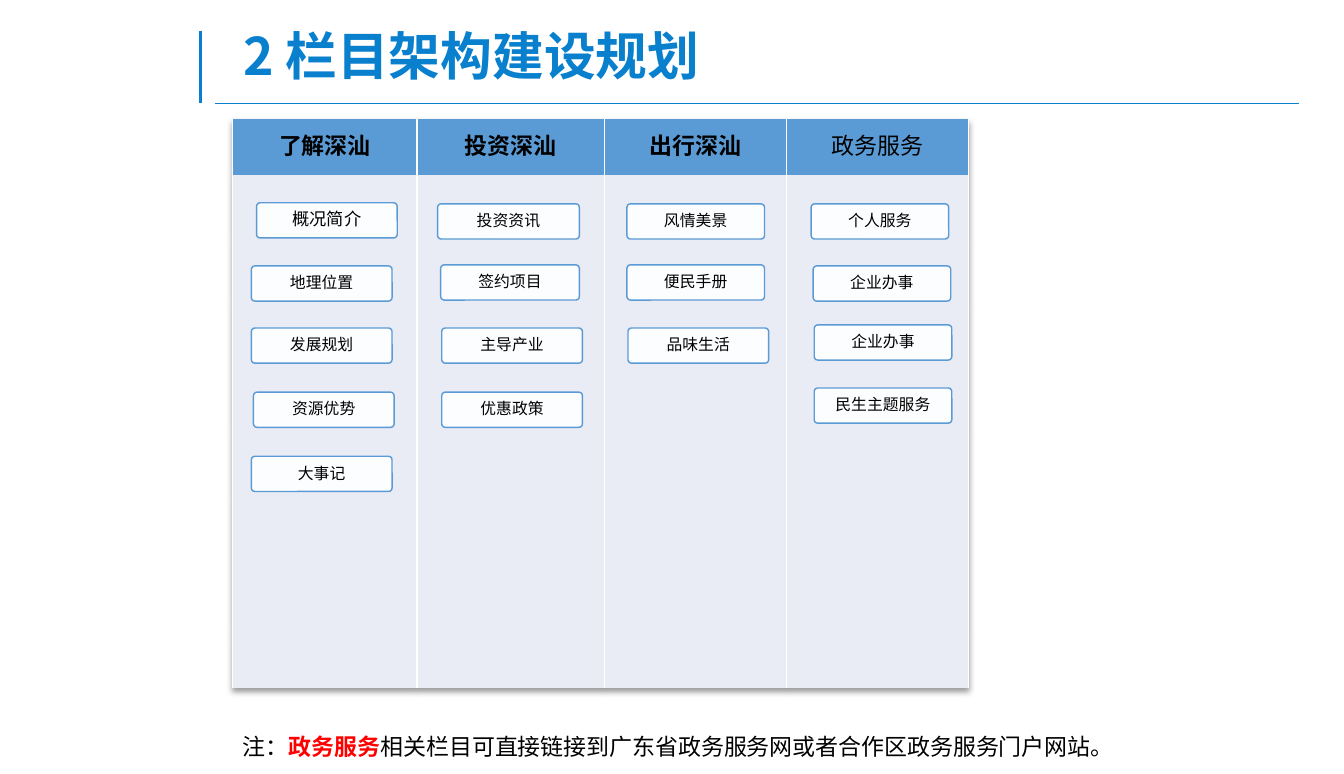
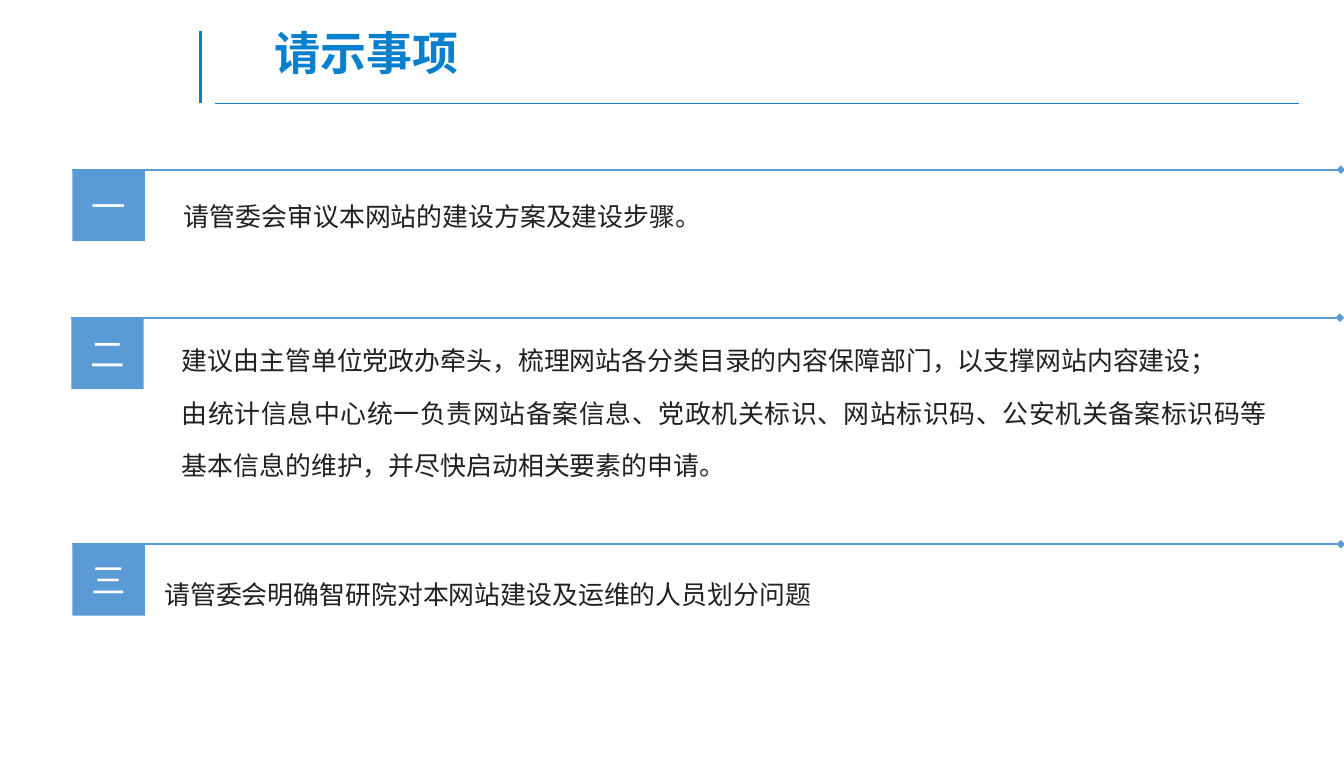
from dataclasses import dataclass

from lxml.etree import SubElement
from pptx import Presentation
from pptx.dml.color import RGBColor
from pptx.enum.shapes import MSO_CONNECTOR, MSO_SHAPE
from pptx.enum.text import MSO_ANCHOR, MSO_AUTO_SIZE, PP_ALIGN
from pptx.oxml import parse_xml
from pptx.oxml.ns import nsdecls, qn
from pptx.util import Inches, Pt

COLORS = {
    "brand": "0980CD",
    "accent": "5B9BD5",
    "panel": "E9EBF5",
    "white": "FFFFFF",
    "black": "000000",
    "ink": "202020",
    "alert": "FF0000",
}
NOTO = "Noto Sans CJK SC"
CALIBRI = "Calibri"


@dataclass(frozen=True)
class Style:
    size: float
    color: str
    font: str = NOTO
    east_asian: str = NOTO
    bold: bool = False


@dataclass(frozen=True)
class Entry:
    label: str
    left: float
    top: float
    width: float = 1.36
    size: float = 11


@dataclass(frozen=True)
class Column:
    heading: str
    width: float
    bold: bool
    entries: tuple[Entry, ...]


@dataclass(frozen=True)
class Request:
    numeral: str
    left: float
    top: float
    text_left: float
    text_top: float
    text_height: float
    paragraphs: tuple[str, ...]


COLUMNS = (
    Column("了解深汕", 1.78, True, (
        Entry("概况简介", 2.48, 1.96, size=12),
        Entry("地理位置", 2.43, 2.57),
        Entry("发展规划", 2.43, 3.17),
        Entry("资源优势", 2.45, 3.79),
        Entry("大事记", 2.43, 4.41),
    )),
    Column("投资深汕", 1.81, True, (
        Entry("投资资讯", 4.23, 1.97, 1.37),
        Entry("签约项目", 4.26, 2.56, 1.34),
        Entry("主导产业", 4.27, 3.17),
        Entry("优惠政策", 4.27, 3.79),
    )),
    Column("出行深汕", 1.76, True, (
        Entry("风情美景", 6.06, 1.97, 1.33),
        Entry("便民手册", 6.06, 2.56, 1.33),
        Entry("品味生活", 6.07, 3.17),
    )),
    Column("政务服务", 1.76, False, (
        Entry("个人服务", 7.84, 1.97, 1.33),
        Entry("企业办事", 7.86, 2.57, 1.33),
        Entry("企业办事", 7.87, 3.14, 1.33),
        Entry("民生主题服务", 7.87, 3.75, 1.33),
    )),
)
ROW_HEIGHTS = (0.54, 0.62, 0.62, 0.62, 0.62, 0.62, 0.7, 0.62, 0.54)

REQUESTS = (
    Request("一", 0.7, 1.64, 1.68, 1.68, 1.13,
            ("请管委会审议本网站的建设方案及建设步骤。",)),
    Request("二", 0.69, 3.07, 1.66, 3.07, 1.64, (
        "建议由主管单位党政办牵头，梳理网站各分类目录的内容保障部门，以支撑网站内容建设；",
        "由统计信息中心统一负责网站备案信息、党政机关标识、网站标识码、公安机关备案标识码等基本信息的维护，并尽快启动相关要素的申请。",
    )),
    Request("三", 0.7, 5.26, 1.49, 5.33, 0.55,
            ("请管委会明确智研院对本网站建设及运维的人员划分问题",)),
)


def rgb(name: str) -> RGBColor:
    return RGBColor.from_string(COLORS[name])


def add_run(paragraph, text: str, style: Style) -> None:
    run = paragraph.add_run()
    run.text = text
    run.font.size = Pt(style.size)
    run.font.bold = style.bold
    run.font.name = style.font
    run.font.color.rgb = rgb(style.color)
    SubElement(run.font._element, qn("a:ea")).set("typeface", style.east_asian)


def add_line(slide, start: tuple[float, float], end: tuple[float, float],
             color: str, weight: float, diamond: bool = False):
    line = slide.shapes.add_connector(
        MSO_CONNECTOR.STRAIGHT, *(Inches(value) for value in start + end))
    line.line.color.rgb = rgb(color)
    line.line.width = Pt(weight)
    if diamond:
        SubElement(line.line._get_or_add_ln(), qn("a:headEnd")).set("type", "diamond")
    SubElement(line.element.spPr, qn("a:effectLst"))
    return line


def add_box(slide, preset, left: float, top: float, width: float, height: float, fill: str):
    box = slide.shapes.add_shape(
        preset, Inches(left), Inches(top), Inches(width), Inches(height))
    box.shadow.inherit = False
    box.fill.solid()
    box.fill.fore_color.rgb = rgb(fill)
    box.text_frame.vertical_anchor = MSO_ANCHOR.MIDDLE
    box.text_frame.paragraphs[0].alignment = PP_ALIGN.CENTER
    return box


def add_text_area(slide, left: float, top: float, width: float, height: float):
    frame = slide.shapes.add_textbox(
        Inches(left), Inches(top), Inches(width), Inches(height)).text_frame
    frame.word_wrap = True
    return frame


def add_titled_slide(deck, title: str, size: float, indent: float = 0):
    slide = deck.slides.add_slide(deck.slide_layouts[5])
    heading = slide.shapes.title
    heading.left, heading.top = Inches(2.25), Inches(0.3)
    heading.width, heading.height = Inches(10.24), Inches(0.69)
    frame = heading.text_frame
    frame.auto_size = MSO_AUTO_SIZE.NONE
    frame.vertical_anchor = MSO_ANCHOR.TOP
    frame.margin_top = 0
    frame.margin_left = Inches(0.1 + indent)
    paragraph = frame.paragraphs[0]
    paragraph.alignment = PP_ALIGN.LEFT
    paragraph.line_spacing = 0.9
    add_run(paragraph, title, Style(size, "brand", bold=True))
    return slide


def add_title_rules(deck, slide) -> None:
    layout_tree = deck.slide_layouts[5].shapes.element
    for start, end, weight in (((2.08, 1), (12.56, 1), 0.5), ((1.94, 0.3), (1.94, 1), 2.25)):
        layout_tree.append(add_line(slide, start, end, "brand", weight).element)


def format_cell(cell, fill: str) -> None:
    properties = cell._tc.get_or_add_tcPr()
    for side in ("lnL", "lnR", "lnT", "lnB"):
        border = SubElement(properties, qn(f"a:{side}"))
        if side in ("lnL", "lnR"):
            border.set("w", str(Pt(1)))
            paint = SubElement(border, qn("a:solidFill"))
            SubElement(paint, qn("a:srgbClr")).set("val", COLORS["white"])
        else:
            border.set("w", "0")
            SubElement(border, qn("a:noFill"))
    cell.fill.solid()
    cell.fill.fore_color.rgb = rgb(fill)
    cell.vertical_anchor = MSO_ANCHOR.MIDDLE


def add_column_table(slide) -> None:
    table = slide.shapes.add_table(
        len(ROW_HEIGHTS), len(COLUMNS), Inches(2.25), Inches(1.15),
        Inches(sum(column.width for column in COLUMNS)), Inches(sum(ROW_HEIGHTS))).table
    table.horz_banding = False
    table._tbl.tblPr.insert(0, parse_xml(
        f'<a:effectLst {nsdecls("a")}><a:outerShdw blurRad="50800" dist="38100" '
        f'dir="5400000" algn="t" rotWithShape="0"><a:srgbClr val="{COLORS["black"]}">'
        '<a:alpha val="40000"/></a:srgbClr></a:outerShdw></a:effectLst>'))
    for row, height in zip(table.rows, ROW_HEIGHTS):
        row.height = Inches(height)
    for index, column in enumerate(COLUMNS):
        table.columns[index].width = Inches(column.width)
        for row_index in range(len(ROW_HEIGHTS)):
            format_cell(table.cell(row_index, index), "panel" if row_index else "accent")
        heading = table.cell(0, index).text_frame.paragraphs[0]
        heading.alignment = PP_ALIGN.CENTER
        add_run(heading, column.heading,
                Style(16, "black", CALIBRI, CALIBRI, column.bold))


def add_entry(slide, entry: Entry) -> None:
    card = add_box(slide, MSO_SHAPE.ROUNDED_RECTANGLE,
                   entry.left, entry.top, entry.width, 0.34, "white")
    card.adjustments[0] = 0.1
    card.line.color.rgb = rgb("accent")
    card.line.width = Pt(1)
    tint = card.element.spPr.find(qn("a:solidFill")).find(qn("a:srgbClr"))
    SubElement(tint, qn("a:alpha")).set("val", "90000")
    frame = card.text_frame
    frame.margin_left = frame.margin_right = Inches(0.03)
    frame.margin_top = frame.margin_bottom = Inches(0.02)
    frame.paragraphs[0].line_spacing = 0.9
    add_run(frame.paragraphs[0], entry.label, Style(entry.size, "black"))


def add_request(slide, request: Request) -> None:
    badge = add_box(slide, MSO_SHAPE.RECTANGLE, request.left, request.top, 0.7, 0.69, "accent")
    badge.line.fill.background()
    add_run(badge.text_frame.paragraphs[0], request.numeral, Style(24, "white"))
    add_line(slide, (request.left + 12.26, request.top), (request.left, request.top),
             "accent", 1.5, diamond=True)
    frame = add_text_area(slide, request.text_left, request.text_top, 10.69, request.text_height)
    for index, sentence in enumerate(request.paragraphs):
        paragraph = frame.add_paragraph() if index else frame.paragraphs[0]
        paragraph.alignment = PP_ALIGN.JUSTIFY
        paragraph.line_spacing = 1.7
        add_run(paragraph, sentence, Style(18, "ink", CALIBRI, CALIBRI))


def build_structure_slide(deck) -> None:
    slide = add_titled_slide(deck, "2 栏目架构建设规划", 36)
    add_title_rules(deck, slide)
    add_column_table(slide)
    note = add_text_area(slide, 2.25, 6.9, 10.04, 0.5).paragraphs[0]
    note.line_spacing = 1.5
    plain = Style(16, "black", east_asian=CALIBRI)
    add_run(note, "注：", plain)
    add_run(note, "政务服务", Style(16, "alert", east_asian=CALIBRI, bold=True))
    add_run(note, "相关栏目可直接链接到广东省政务服务网或者合作区政务服务门户网站。", plain)
    for column in COLUMNS:
        for entry in column.entries:
            add_entry(slide, entry)


def build_requests_slide(deck) -> None:
    slide = add_titled_slide(deck, "请示事项", 32, indent=0.3)
    for request in REQUESTS:
        add_request(slide, request)


def main() -> None:
    deck = Presentation()
    deck.slide_width, deck.slide_height = Inches(12.99), Inches(7.48)
    build_structure_slide(deck)
    build_requests_slide(deck)
    deck.save("out.pptx")


if __name__ == "__main__":
    main()
